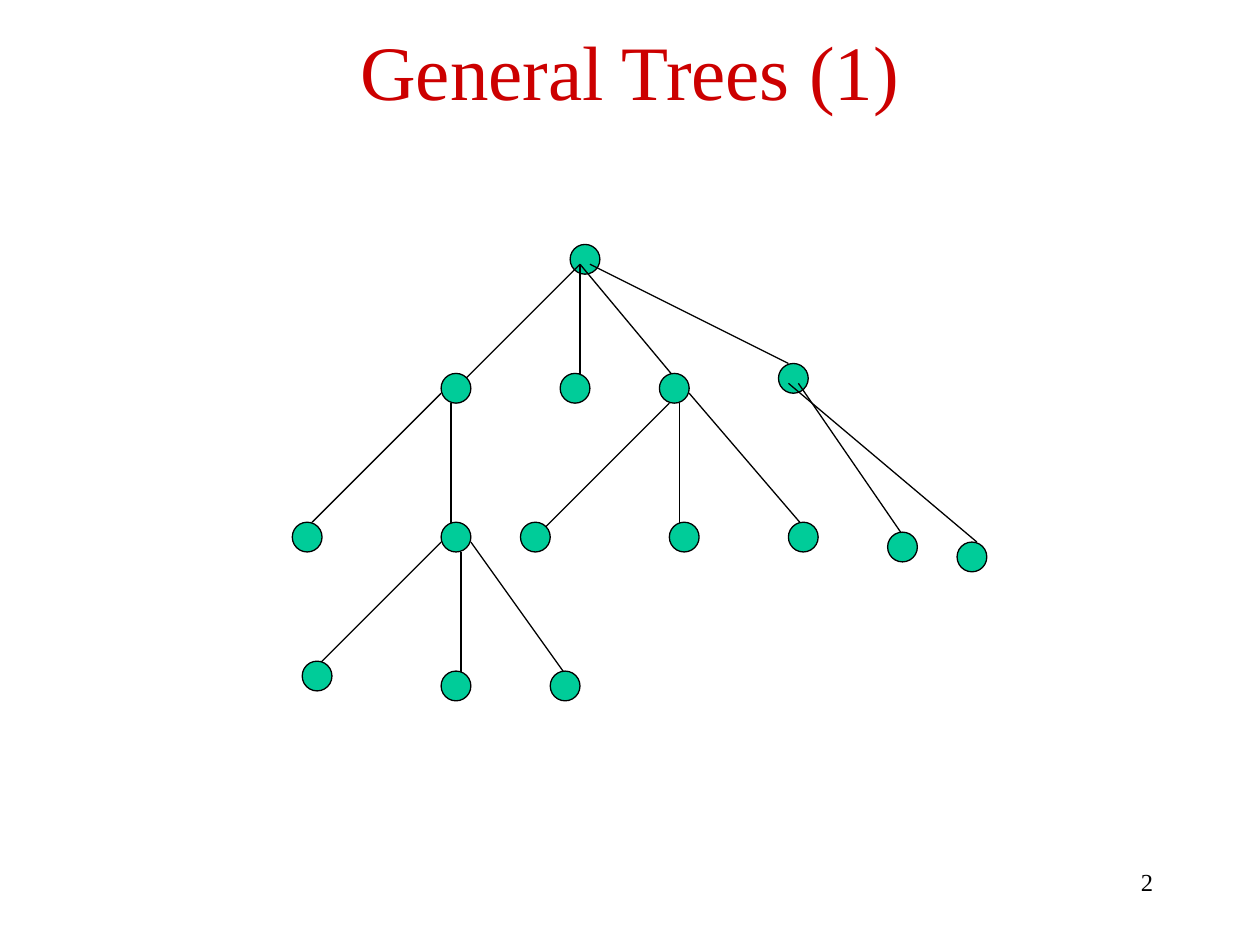
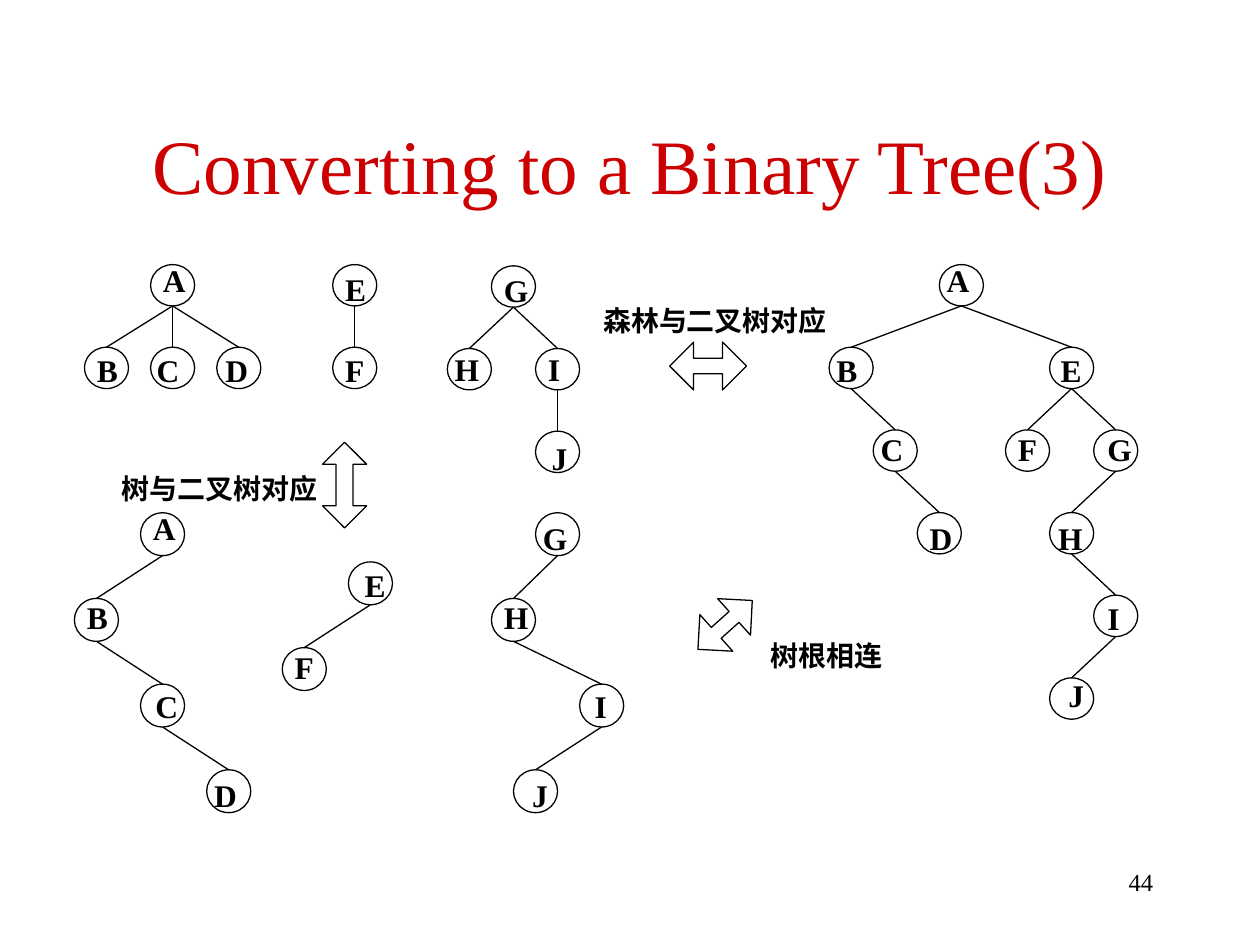
from lxml import etree
from pptx import Presentation
from pptx import util as u
from pptx.dml.color import RGBColor
from pptx.enum import shapes, text
from pptx.oxml.ns import qn

COLORS = {"title": "CC0000", "ink": "000000", "node": "00CC99", "paper": "FFFFFF"}
FONT = "Times New Roman"
OVAL = shapes.MSO_SHAPE.OVAL
ARROW = shapes.MSO_SHAPE.UP_DOWN_ARROW
LINE = shapes.MSO_CONNECTOR.STRAIGHT

deck = Presentation()
deck.slide_width, deck.slide_height = u.Inches(10), u.Inches(7.5)
UNIT = deck.slide_width / 10  # square grid, 10 columns by 7.5 rows


def write(page, words, area, size, color="ink", bold=False,
          align=text.PP_ALIGN.LEFT, anchor=text.MSO_ANCHOR.TOP):
    """Place one line of text in area = (left, top, width, height)."""
    box = page.shapes.add_textbox(*(round(v * UNIT) for v in area))
    frame = box.text_frame
    frame.word_wrap, frame.vertical_anchor = True, anchor
    para = frame.paragraphs[0]
    para.alignment = align
    span = para.add_run()
    span.text = words
    span.font.name, span.font.size, span.font.bold = FONT, u.Pt(size), bold
    span.font.color.rgb = RGBColor.from_string(COLORS[color])


def draw(page, kind, area, fill="paper"):
    """Draw a shape in (left, top, width, height) or a line (x1, y1, x2, y2)."""
    lengths = [round(v * UNIT) for v in area]
    if kind == LINE:
        item = page.shapes.add_connector(kind, *lengths)
    else:
        item = page.shapes.add_shape(kind, *lengths)
        item.shadow.inherit = False
        item.fill.solid()
        item.fill.fore_color.rgb = RGBColor.from_string(COLORS[fill])
    item.line.color.rgb = RGBColor.from_string(COLORS["ink"])
    item.line.width = u.Pt(0.75)
    if kind == LINE:
        etree.SubElement(item.element.spPr, qn("a:effectLst"))
    return item


# Pages with title and number
pages = []
for title, area, number in [
    ("General Trees (1)", (0.5, 0.05, 9, 1), "2"),
    ("Converting to a Binary Tree(3)", (0.75, 0.67, 8.5, 1.25), "44"),
]:
    page = deck.slides.add_slide(deck.slide_layouts[6])
    write(page, title, area, 44, "title",
          align=text.PP_ALIGN.CENTER, anchor=text.MSO_ANCHOR.MIDDLE)
    write(page, number, (7.17, 6.83, 2.08, 0.5), 14, align=text.PP_ALIGN.RIGHT)
    pages.append(page)
general, binary = pages

# General tree: each level has its incoming edges, then its nodes, in grid cells
CELL = 0.63 / 8
LEFT, TOP = 2.32, 1.94
levels = [
    ([], [(28, 0)]),
    ([(29, 2, 16, 15), (29, 2, 29, 15), (29, 2, 39, 14), (30, 2, 50, 12)],
     [(15, 13), (27, 13), (37, 13), (49, 12)]),
    ([(15, 15, 2, 28), (16, 16, 16, 29), (40, 15, 52, 29), (39, 16, 39, 29),
      (38, 16, 25, 29), (51, 14, 62, 30), (50, 14, 69, 30)],
     [(23, 28), (38, 28), (50, 28), (0, 28), (15, 28), (60, 29), (67, 30)]),
    ([(17, 31, 17, 44), (15, 30, 2, 43), (18, 30, 28, 44)],
     [(1, 42), (15, 43), (26, 43)]),
]
for edges, nodes in levels:
    for x1, y1, x2, y2 in edges:
        draw(general, LINE, (LEFT + x1 * CELL, TOP + y1 * CELL,
                             LEFT + x2 * CELL, TOP + y2 * CELL))
    for column, row in nodes:
        draw(general, OVAL, (LEFT + column * CELL, TOP + row * CELL,
                             3 * CELL, 3 * CELL), "node")

# Lettered trees: left, top, node height, then
# (letter, parent, column, tier, label shift right, label shift down)
NODE_W = 0.35
FLAT, TALL = 3.28 / 10, 0.34
trees = [
    (0.67, 2.1, FLAT, [
        ("A", "", 1.5, 0, 0, -0.08), ("B", "A", 0, 1, 0, -0.02),
        ("C", "A", 1.5, 1, -0.05, -0.02), ("D", "A", 3, 1, -0.03, -0.02)]),
    (2.64, 2.1, FLAT, [
        ("E", "", 0, 0, 0, -0.01), ("F", "E", 0, 1, 0, -0.02)]),
    (3.55, 2.11, FLAT, [
        ("G", "", 1, 0, 0, -0.01), ("H", "G", 0, 1, -0.04, -0.04),
        ("I", "G", 2, 1, 0, -0.04), ("J", "I", 2, 2, 0.03, 0.01)]),
    (0.59, 4.07, TALL, [
        ("A", "", 1.5, 0, 0, -0.08), ("B", "A", 0, 1, 0, -0.05),
        ("C", "B", 1.5, 2, 0.02, -0.03), ("D", "C", 3, 3, -0.04, 0)]),
    (2.24, 4.46, TALL, [
        ("E", "", 1.5, 0, 0.03, -0.02), ("F", "E", 0, 1, 0, -0.05)]),
    (3.9, 4.07, TALL, [
        ("G", "", 1, 0, -0.04, 0), ("H", "G", 0, 1, 0, -0.05),
        ("I", "H", 2, 2, 0.02, -0.03), ("J", "I", 0.5, 3, 0.05, 0)]),
    (6.58, 2.1, FLAT, [
        ("A", "", 2.5, 0, -0.04, -0.08), ("B", "A", 0, 1, -0.04, -0.02),
        ("E", "A", 5, 1, -0.01, -0.02), ("C", "B", 1, 2, -0.04, -0.05),
        ("F", "E", 4, 2, 0, -0.05), ("G", "E", 6, 2, 0.01, -0.05),
        ("D", "C", 2, 3, 0, 0), ("H", "G", 5, 3, -0.03, 0),
        ("I", "H", 6, 4, 0.01, -0.02), ("J", "I", 5, 5, 0.05, -0.06)]),
]
for left, top, node_h, nodes in trees:
    feet = {}  # bottom centre of each node, where child edges start
    for letter, parent, column, tier, right, down in nodes:
        x, y = left + column * NODE_W, top + tier * 2 * node_h
        middle = x + NODE_W / 2
        draw(binary, OVAL, (x, y, NODE_W, node_h))
        if parent:
            draw(binary, LINE, (*feet[parent], middle, y))
        write(binary, letter, (x + right, y + down, 0.45, 0.4), 18, bold=True)
        feet[letter] = (middle, y + node_h)

# Double arrows with captions
for area, turn, head, caption, spot in [
    ((5.43, 2.6, 0.38, 0.61), 270, 0.324, "森林与二叉树对应", (4.69, 2.36, 2.2, 0.37)),
    ((2.56, 3.51, 0.35, 0.68), 0, 0.388, "树与二叉树对应", (0.87, 3.69, 2, 0.37)),
    ((5.56, 4.67, 0.39, 0.58), 48, 0.299, "树根相连", (6.02, 5.02, 1.3, 0.37)),
]:
    arrow = draw(binary, ARROW, area)
    arrow.rotation = turn
    arrow.adjustments[0], arrow.adjustments[1] = 0.5, head
    write(binary, caption, spot, 16, bold=True)

deck.save("out.pptx")
